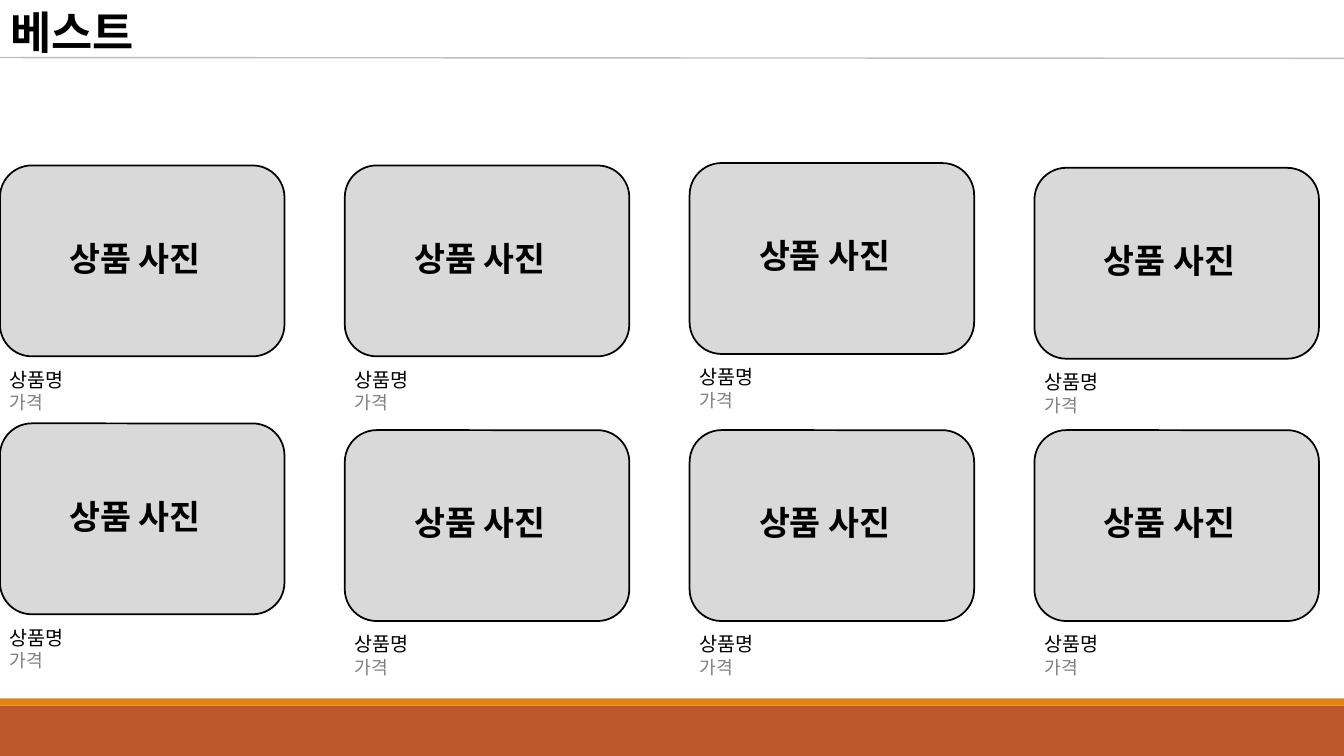
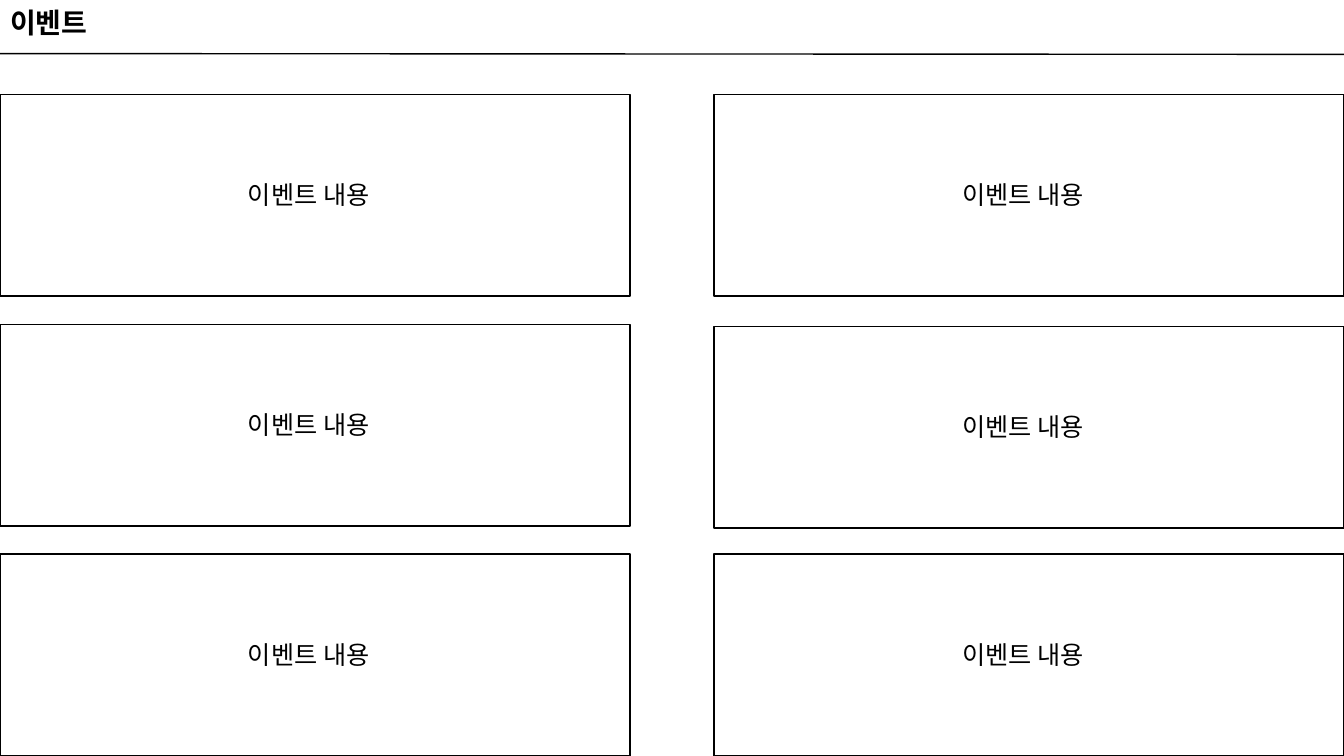
from lxml import etree
from pptx import Presentation
from pptx.dml.color import RGBColor
from pptx.enum.shapes import MSO_CONNECTOR, MSO_SHAPE
from pptx.enum.text import MSO_ANCHOR, MSO_AUTO_SIZE, PP_ALIGN
from pptx.oxml.ns import qn
from pptx.util import Cm, Pt

RECTANGLE = MSO_SHAPE.RECTANGLE
ROUNDED = MSO_SHAPE.ROUNDED_RECTANGLE
STRAIGHT = MSO_CONNECTOR.STRAIGHT
TOP = MSO_ANCHOR.TOP
LEFT = PP_ALIGN.LEFT
NO_AUTOFIT = MSO_AUTO_SIZE.NONE

FONT = "Calibri"
BLACK, WHITE = "000000", "FFFFFF"
GRAY, SILVER, LIGHT = "808080", "BFBFBF", "D9D9D9"
RUST, ORANGE = "BD582C", "E48312"
WIDTH, HEIGHT = 33.87, 19.05
BANDS = [((0, 17.78, WIDTH, 1.27), RUST), ((0, 17.6, WIDTH, 0.18), ORANGE)]

BEST_TITLE = "베스트"
PHOTO, PRODUCT, PRICE = "상품 사진", "상품명", "가격"
CARD_TOPS = [(4.17, 4.17, 4.11, 4.23), (10.67, 10.84, 10.84, 10.84)]
CARD_WIDTH, CARD_HEIGHT, CARD_PITCH = 7.17, 4.81, 8.69

EVENT_TITLE = "이벤트"
EVENT = "이벤트 내용"
EVENT_TOPS = [(2.38, 2.38), (8.18, 8.23), (13.97, 13.97)]
EVENT_WIDTH, EVENT_HEIGHT = 15.87, 5.08


def color(value):
    return RGBColor.from_string(value)


def lengths(box):
    return [Cm(value) for value in box]


def write(shape, text, size, text_color=BLACK, bold=False):
    frame = shape.text_frame
    frame.text = text
    frame.word_wrap = True
    frame.auto_size = NO_AUTOFIT
    frame.vertical_anchor = TOP
    paragraph = frame.paragraphs[0]
    paragraph.alignment = LEFT
    font = paragraph.runs[0].font
    font.name, font.size, font.bold = FONT, Pt(size), bold
    font.color.rgb = color(text_color)


def add_text(shapes, box, text, size, text_color=BLACK, bold=False):
    write(shapes.add_textbox(*lengths(box)), text, size, text_color, bold)


def add_box(shapes, box, fill, line=None, kind=RECTANGLE):
    shape = shapes.add_shape(kind, *lengths(box))
    shape.shadow.inherit = False
    shape.fill.solid()
    shape.fill.fore_color.rgb = color(fill)
    if line:
        shape.line.color.rgb = color(line)
        shape.line.width = Pt(1.25)
    else:
        shape.line.fill.background()
    return shape


def add_titled_slide(presentation, layout, title, box, size, rule_top, rule_color):
    slide = presentation.slides.add_slide(layout)
    heading = slide.shapes.title
    heading.left, heading.top, heading.width, heading.height = lengths(box)
    write(heading, title, size, bold=True)
    rule = slide.shapes.add_connector(
        STRAIGHT, *lengths((0, rule_top, WIDTH, rule_top + 0.02)))
    rule.line.color.rgb = color(rule_color)
    rule.line.width = Pt(1)
    etree.SubElement(rule.element.spPr, qn("a:effectLst"))
    return slide


def add_bands(slide, layout):
    for box, fill in BANDS:
        band = add_box(slide.shapes, box, fill)
        layout.shapes.element.append(band.element)


def add_product(shapes, left, top):
    card = shapes.add_group_shape().shapes
    add_box(card, (left, top, CARD_WIDTH, CARD_HEIGHT), LIGHT, BLACK, ROUNDED)
    add_text(card, (left + 1.5, top + 1.69, 4.17, 1.28), PHOTO, 24, bold=True)
    add_text(shapes, (left, top + 4.97, 2.64, 0.86), PRODUCT, 14)
    add_text(shapes, (left, top + 5.57, 2.64, 0.81), PRICE, 13, GRAY)


def add_event(shapes, left, top):
    add_box(shapes, (left, top, EVENT_WIDTH, EVENT_HEIGHT), WHITE, BLACK)
    add_text(shapes, (left + 6, top + 2.02, 3.86, 1.02), EVENT, 18)


def main():
    presentation = Presentation()
    presentation.slide_width, presentation.slide_height = Cm(WIDTH), Cm(HEIGHT)
    layout = presentation.slide_layouts[5]

    best = add_titled_slide(presentation, layout, BEST_TITLE,
                            (0, 0, 5.33, 1.62), 32, 1.45, SILVER)
    add_bands(best, layout)
    for tops in CARD_TOPS:
        for column, top in enumerate(tops):
            add_product(best.shapes, column * CARD_PITCH, top)

    events = add_titled_slide(presentation, layout, EVENT_TITLE,
                              (0, 0, 2.74, 1.11), 20, 1.35, BLACK)
    gap = WIDTH - 2 * EVENT_WIDTH
    add_box(events.shapes, (EVENT_WIDTH, 17.6, gap, 1.45), WHITE, WHITE)
    for tops in EVENT_TOPS:
        for column, top in enumerate(tops):
            add_event(events.shapes, column * (EVENT_WIDTH + gap), top)

    presentation.save("out.pptx")


if __name__ == "__main__":
    main()
